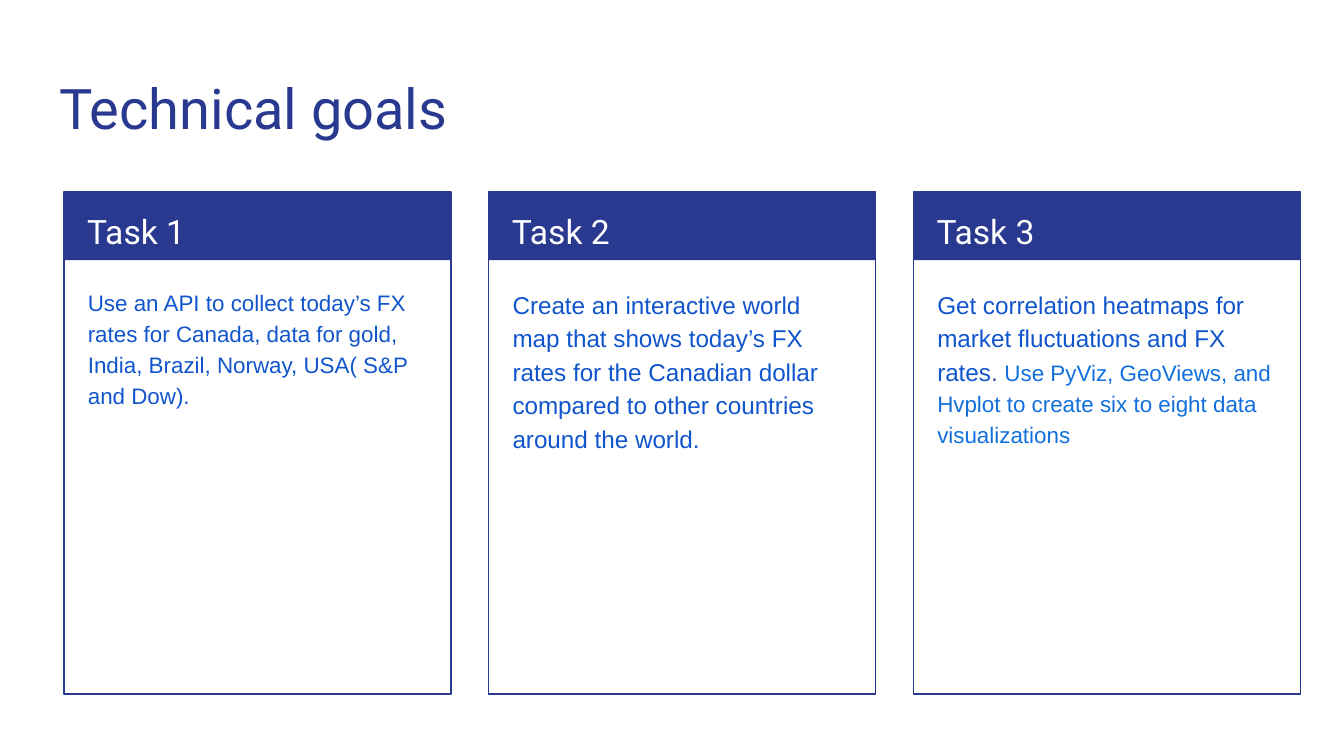
from pptx import Presentation
from pptx.dml.color import RGBColor
from pptx.enum.shapes import MSO_SHAPE
from pptx.enum.text import MSO_ANCHOR, MSO_AUTO_SIZE, PP_ALIGN
from pptx.util import Emu, Pt

COLORS = {
    "navy": "2A3990",
    "white": "FFFFFF",
    "blue": "1155CC",
    "indigo": "3949AB",
    "sky": "1170DE",
}
TASKS = [
    [("Use an API to collect today’s FX rates for Canada, data for gold, "
      "India, Brazil, Norway, USA( S&P and Dow).", 12, "blue")],
    [("Create an interactive world map that shows today’s FX rates for the "
      "Canadian dollar compared to other countries around the world.", 13, "blue")],
    [("Get correlation heatmaps for market fluctuations and FX rates", 13, "blue"),
     (". ", 13, "indigo"),
     ("Use PyViz, GeoViews, and Hvplot to create six to eight data "
      "visualizations", 12, "sky")],
]
LEFT, TOP, STEP, WIDTH = 95, 286, 632, 576


def px(count):
    """Turn px, at 200 to the inch, into EMU."""
    return Emu(count * 4572)


def tint(name):
    """Look up a named colour."""
    return RGBColor.from_string(COLORS[name])


def style(font, face, size, color):
    """Set the face, size and colour of a font."""
    font.name, font.size = face, Pt(size)
    font.color.rgb = tint(color)


def set_frame(shape):
    """Give a text shape its insets, wrap and anchor, and return its paragraph."""
    frame = shape.text_frame
    frame.word_wrap = True
    frame.auto_size = MSO_AUTO_SIZE.NONE
    frame.vertical_anchor = MSO_ANCHOR.TOP
    frame.margin_left = frame.margin_right = px(20)
    frame.margin_top = frame.margin_bottom = px(20)
    para = frame.paragraphs[0]
    para.alignment = PP_ALIGN.LEFT
    return para


def add_title(slide, text):
    """Place and format the title."""
    title = slide.shapes.title
    title.left, title.top = px(68), px(90)
    title.width, title.height = px(1864), px(132)
    para = set_frame(title)
    para.text = text
    style(para.font, "Roboto", 30, "navy")


def add_rect(shapes, left, height, fill=None, line=None):
    """Add a card rectangle with a fill or an outline."""
    rect = shapes.add_shape(
        MSO_SHAPE.RECTANGLE, px(left), px(TOP), px(WIDTH), px(height))
    rect.shadow.inherit = False
    if fill:
        rect.fill.solid()
        rect.fill.fore_color.rgb = tint(fill)
    else:
        rect.fill.background()
    if line:
        rect.line.color.rgb = tint(line)
        rect.line.width = Pt(0.75)
    else:
        rect.line.fill.background()


def add_text(slide, left, top, width, height):
    """Add a text box and return its paragraph."""
    box = slide.shapes.add_textbox(px(left), px(top), px(width), px(height))
    para = set_frame(box)
    para.line_spacing = 1.15
    return para


def add_card(slide, left, head, parts):
    """Add a task card with its heading and body."""
    group = slide.shapes.add_group_shape()
    add_rect(group.shapes, left, 101, fill="navy")
    add_rect(group.shapes, left, 747, line="navy")
    para = add_text(slide, left + 15, TOP - 1, 546, 100)
    para.text = head
    style(para.font, "Roboto", 18, "white")
    para = add_text(slide, left + 16, 405, 542, 612)
    para.space_before = Pt(12)
    for text, size, color in parts:
        run = para.add_run()
        run.text = text
        style(run.font, "Arial", size, color)


def main():
    """Build and save the slide."""
    deck = Presentation()
    deck.slide_width, deck.slide_height = px(2000), px(1125)
    slide = deck.slides.add_slide(deck.slide_layouts.get_by_name("Title Only"))
    add_title(slide, "Technical goals")
    for index, parts in enumerate(TASKS):
        add_card(slide, LEFT + index * STEP, f"Task {index + 1}", parts)
    deck.save("out.pptx")


if __name__ == "__main__":
    main()
